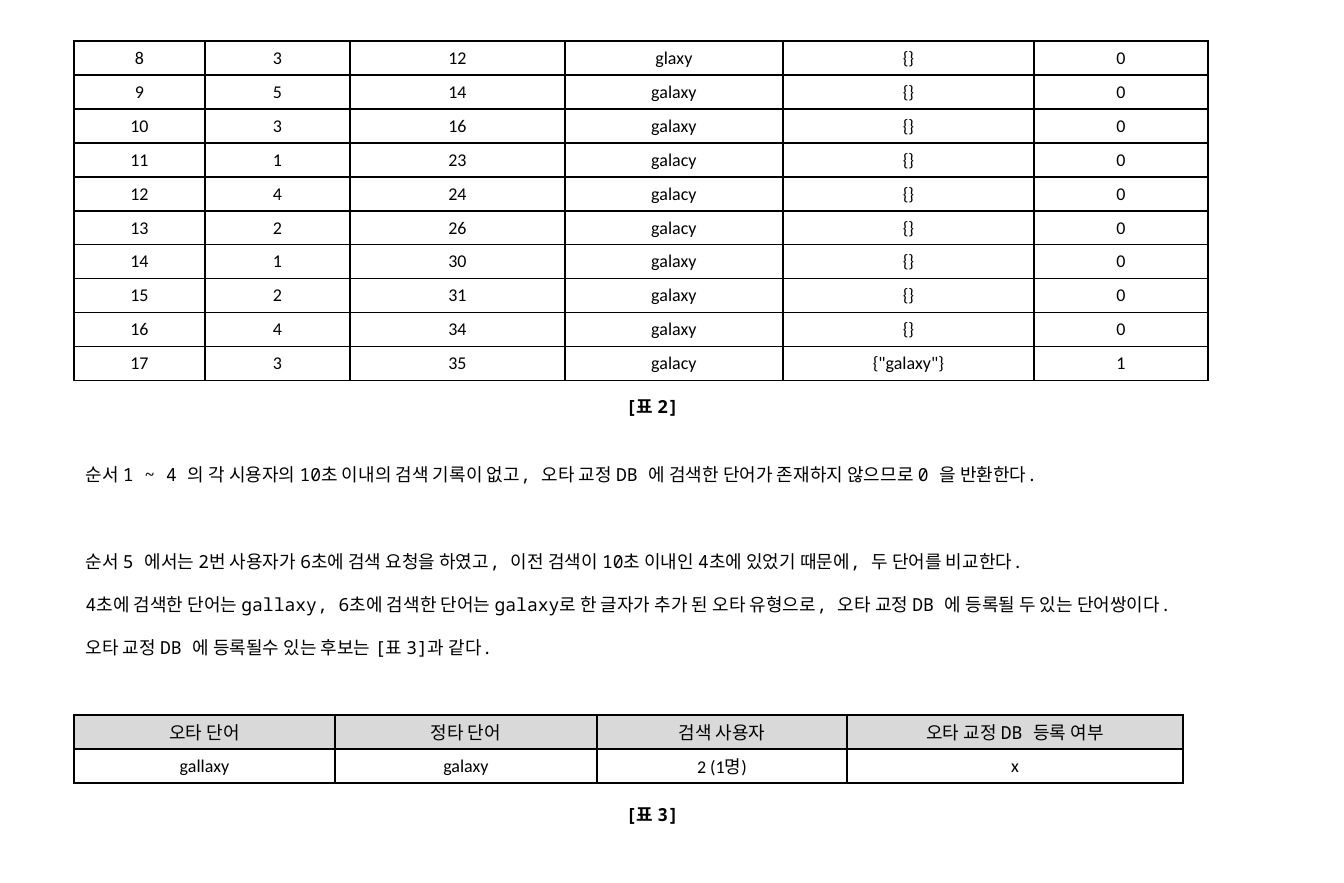
import pptx
import pptx.dml.color
import pptx.enum.text
import pptx.oxml
import pptx.oxml.ns
import pptx.util

PX = 7769  # EMU in one px
THEME = {
    "ink": pptx.dml.color.RGBColor(0, 0, 0),
    "header": pptx.dml.color.RGBColor(0xD9, 0xD9, 0xD9),
    "size": pptx.util.Pt(11),
    "line": pptx.util.Pt(13.2),
    "border": pptx.util.Pt(1),
    "latin": "Calibri",
    "mono": "Noto Sans Mono",
}
LEFT = 74
ROW_HEIGHT = 34
CENTER = pptx.enum.text.PP_ALIGN.CENTER

presentation = pptx.Presentation()
presentation.slide_width = 1344 * PX
presentation.slide_height = 883 * PX
slide = presentation.slides.add_slide(presentation.slide_layouts[6])


def set_font(paragraph, name, bold=False):
    paragraph.font.name = name
    paragraph.font.size = THEME["size"]
    paragraph.font.bold = bold
    paragraph.font.color.rgb = THEME["ink"]


def add_grid(top, widths, rows, has_header):
    """Add a table with black borders and, if asked, a grey first row."""
    grid = slide.shapes.add_table(
        len(rows), len(widths), LEFT * PX, top * PX,
        sum(widths) * PX, len(rows) * ROW_HEIGHT * PX).table
    grid.first_row = has_header
    grid.horz_banding = False
    for column, width in zip(grid.columns, widths):
        column.width = width * PX
    for r, values in enumerate(rows):
        grid.rows[r].height = ROW_HEIGHT * PX
        is_header = has_header and r == 0
        for c, value in enumerate(values):
            cell = grid.cell(r, c)
            cell.vertical_anchor = pptx.enum.text.MSO_ANCHOR.MIDDLE
            cell.margin_top = cell.margin_bottom = 2 * PX
            properties = cell._tc.get_or_add_tcPr()
            for side in ("lnL", "lnR", "lnT", "lnB"):
                properties.append(pptx.oxml.parse_xml(
                    f'<a:{side} {pptx.oxml.ns.nsdecls("a")} w="{THEME["border"]}"><a:solidFill>'
                    f'<a:srgbClr val="{THEME["ink"]}"/></a:solidFill></a:{side}>'))
            if is_header:
                cell.fill.solid()
                cell.fill.fore_color.rgb = THEME["header"]
            else:
                cell.fill.background()
            cell.text = value
            paragraph = cell.text_frame.paragraphs[0]
            paragraph.alignment = CENTER
            set_font(paragraph, THEME["mono" if is_header else "latin"])


searches = [
    ("8", "3", "12", "glaxy", "{}", "0"),
    ("9", "5", "14", "galaxy", "{}", "0"),
    ("10", "3", "16", "galaxy", "{}", "0"),
    ("11", "1", "23", "galacy", "{}", "0"),
    ("12", "4", "24", "galacy", "{}", "0"),
    ("13", "2", "26", "galacy", "{}", "0"),
    ("14", "1", "30", "galaxy", "{}", "0"),
    ("15", "2", "31", "galaxy", "{}", "0"),
    ("16", "4", "34", "galaxy", "{}", "0"),
    ("17", "3", "35", "galacy", '{"galaxy"}', "1"),
]
add_grid(41, [131, 145, 215, 218, 251, 174], searches, has_header=False)

candidates = [
    ("오타 단어", "정타 단어", "검색 사용자", "오타 교정 DB 등록 여부"),
    ("gallaxy", "galaxy", "2 (1명)", "x"),
]
add_grid(715, [261, 262, 250, 336], candidates, has_header=True)

for label, top in (("[표 2]", 383), ("[표 3]", 791)):
    caption = slide.shapes.add_textbox(609 * PX, top * PX, 87 * PX, 38 * PX).text_frame
    caption.word_wrap = True
    caption.text = label
    caption.paragraphs[0].alignment = CENTER
    caption.paragraphs[0].line_spacing = 1.3
    set_font(caption.paragraphs[0], THEME["mono"], bold=True)

# Each sentence with the number of empty lines' worth of space before it
explanation = [
    (0, "순서 1 ~ 4 의 각 시용자의 10초 이내의 검색 기록이 없고, 오타 교정 DB 에 검색한 단어가 존재하지 않으므로 0 을 반환한다."),
    (3, "순서 5 에서는 2번 사용자가 6초에 검색 요청을 하였고, 이전 검색이 10초 이내인 4초에 있었기 때문에, 두 단어를 비교한다."),
    (1, "4초에 검색한 단어는 gallaxy, 6초에 검색한 단어는 galaxy로 한 글자가 추가 된 오타 유형으로, "
        "오타 교정 DB 에 등록될 두 있는 단어쌍이다."),
    (1, "오타 교정 DB 에 등록될수 있는 후보는 [표 3]과 같다."),
]
body = slide.shapes.add_textbox(LEFT * PX, 458 * PX, 1199 * PX, 230 * PX).text_frame
body.word_wrap = True
body.text = "\n".join(sentence for _, sentence in explanation)
for paragraph, (gap, _) in zip(body.paragraphs, explanation):
    paragraph.line_spacing = THEME["line"]
    if gap:
        paragraph.space_before = gap * THEME["line"]
    set_font(paragraph, THEME["mono"])

presentation.save("out.pptx")
